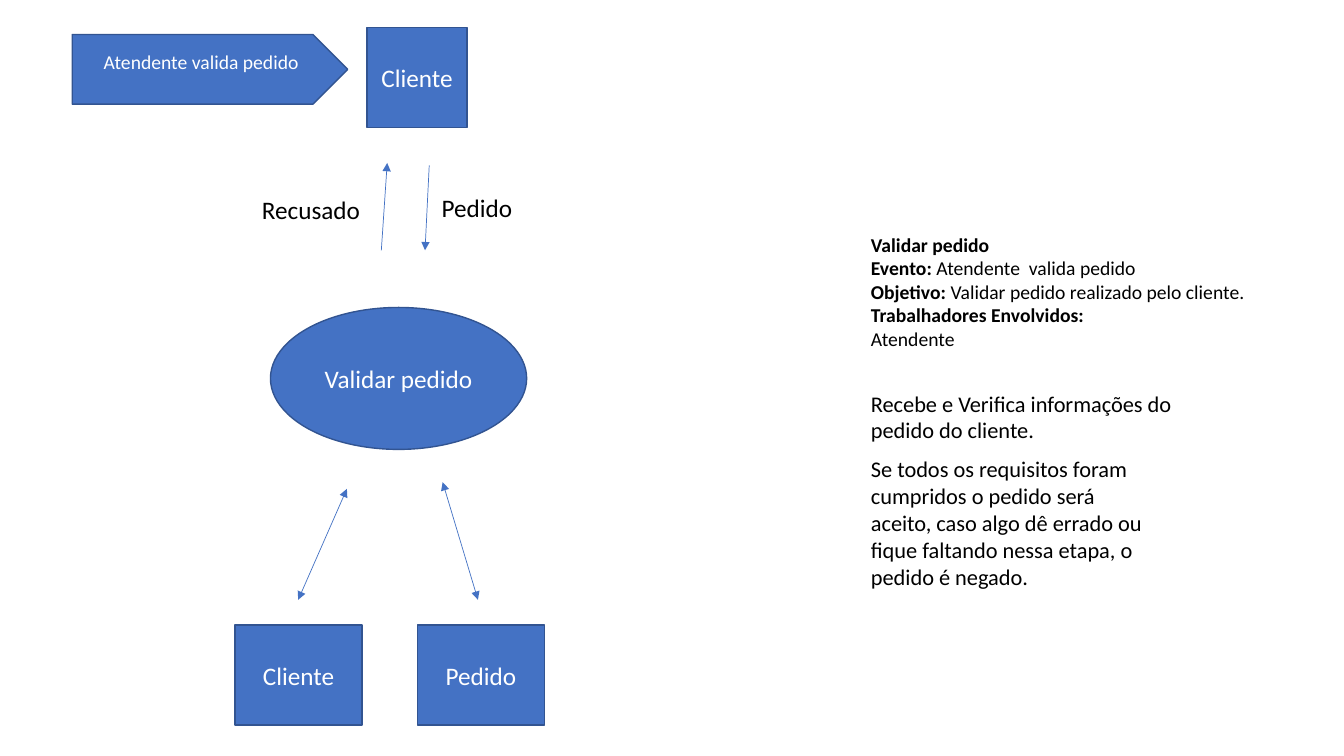
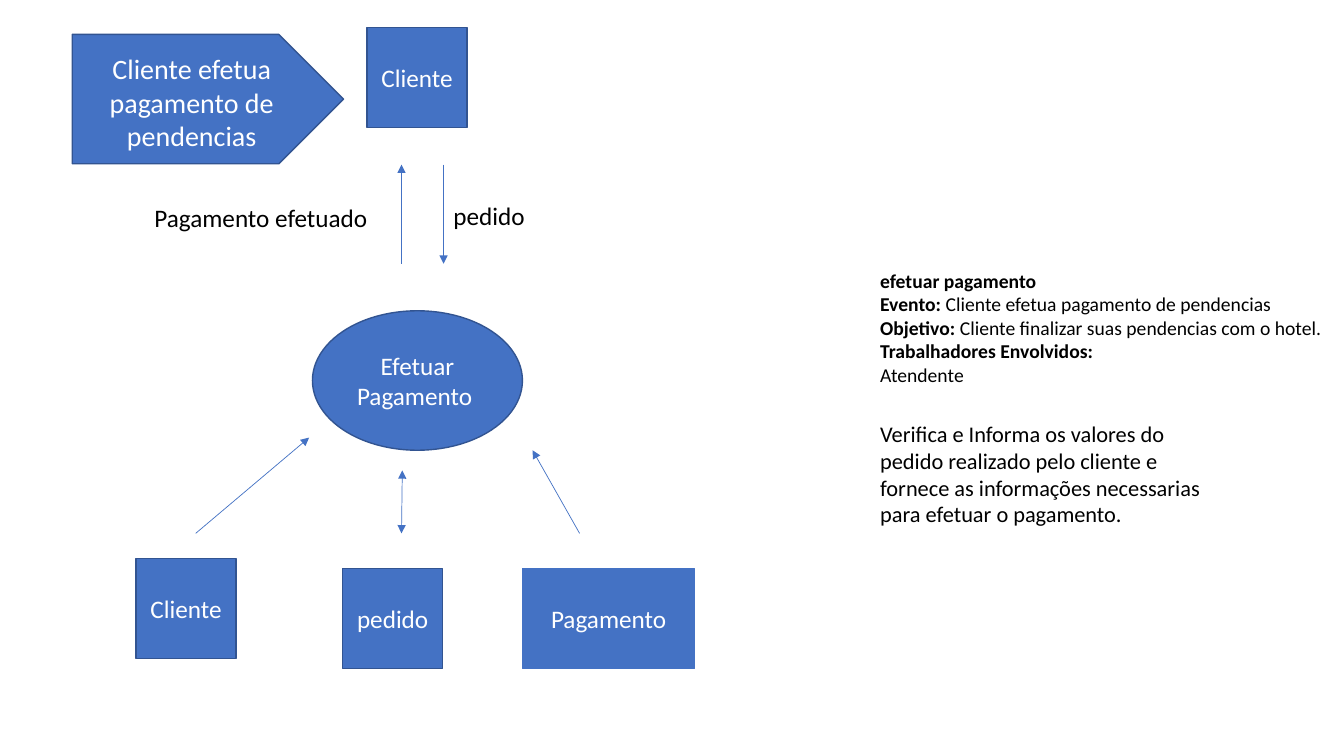
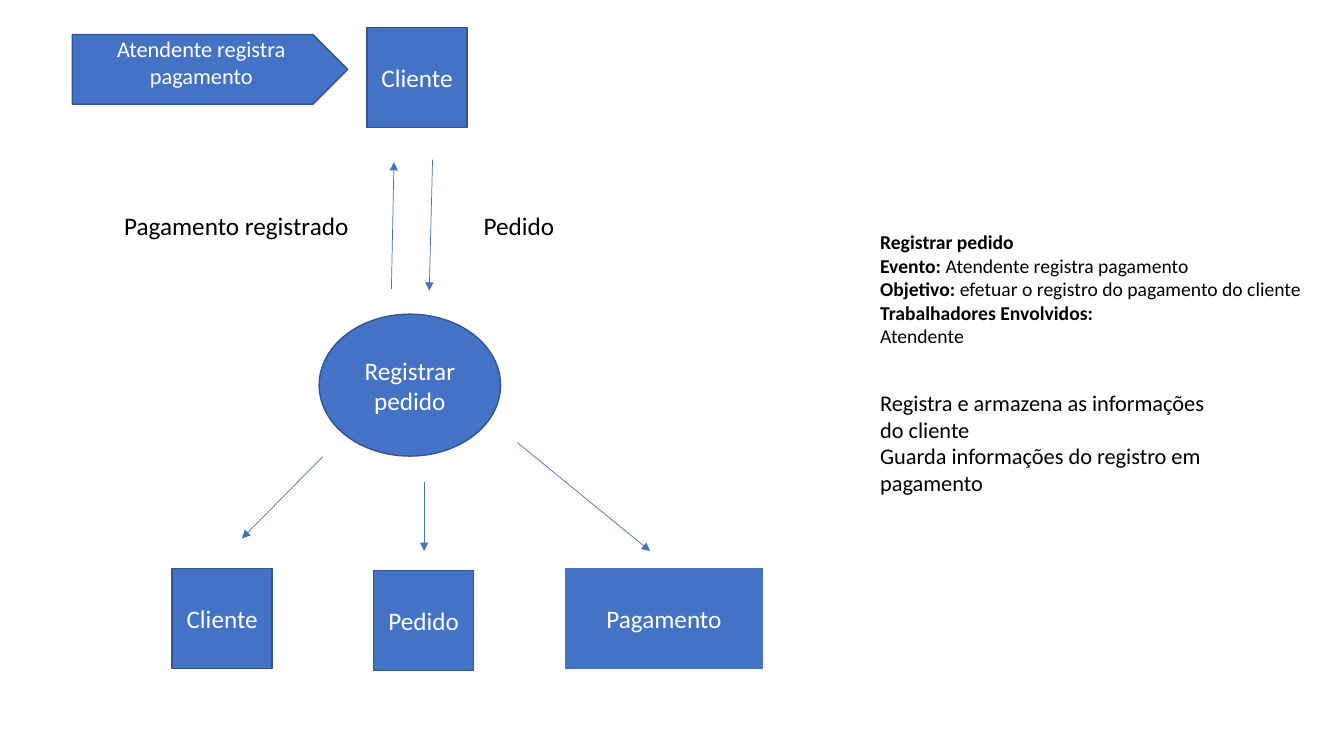
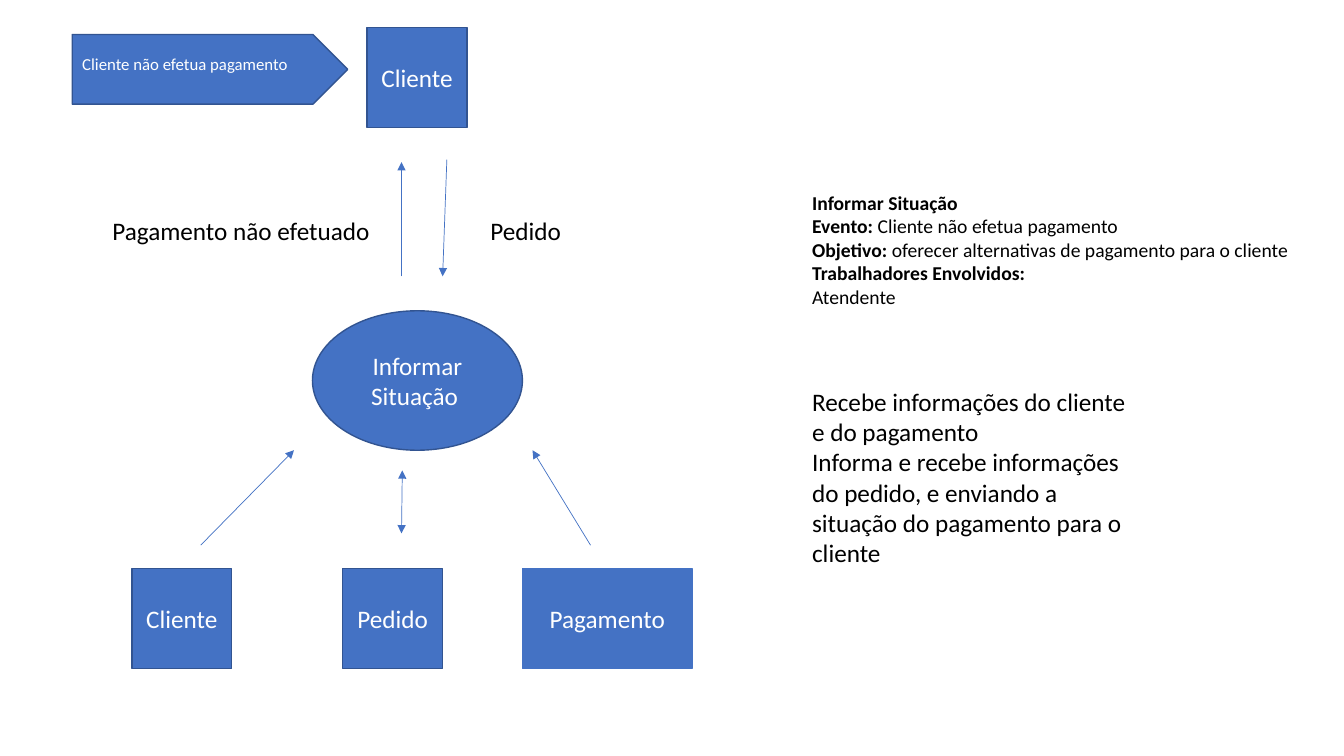
from dataclasses import dataclass

from lxml.etree import SubElement
from pptx import Presentation
from pptx.dml.color import RGBColor
from pptx.enum.shapes import MSO_CONNECTOR as Connector, MSO_SHAPE as Preset
from pptx.enum.text import MSO_ANCHOR as Anchor, PP_ALIGN as Align
from pptx.oxml.ns import qn
from pptx.util import Inches, Pt

# Shared look
BLUE = RGBColor(0x44, 0x72, 0xC4)
OUTLINE = RGBColor(0x32, 0x54, 0x91)
WHITE = RGBColor(0xFF, 0xFF, 0xFF)
BLACK = RGBColor(0x00, 0x00, 0x00)
FONT = "Calibri"

# Grid of square cells, twelve to the inch
COLUMNS, ROWS = 160, 90
CELL = Inches(1 / 12)
SIDE = 11.9          # side of a square entity
LABEL_HEIGHT = 4.8
SUMMARY_HEIGHT = 15.4


@dataclass
class Box:
    left: float
    top: float
    width: float
    height: float

    def inner(self, left, top, width, height):
        return Box(self.left + left, self.top + top, width, height)

    def point(self, x, y):
        return cells(self.left + x), cells(self.top + y)

    def lengths(self):
        return [cells(n) for n in (self.left, self.top, self.width, self.height)]


DIAGRAM = Box(0, 0, 95, ROWS)


def cells(number):
    return round(number * CELL)


# Basic parts
def write(shape, paragraphs, size=18, color=BLACK, align=Align.LEFT,
          anchor=Anchor.TOP, lift=None):
    """Each paragraph is a string or a list of (text, bold) runs."""
    frame = shape.text_frame
    frame.word_wrap = True
    frame.vertical_anchor = anchor
    if lift is not None:
        frame.margin_top = Inches(max(0, -2 * lift))
        frame.margin_bottom = Inches(max(0, 2 * lift))
    for index, content in enumerate(paragraphs):
        paragraph = frame.paragraphs[0] if index == 0 else frame.add_paragraph()
        paragraph.alignment = align
        runs = [(content, False)] if isinstance(content, str) else content
        for text, bold in runs:
            run = paragraph.add_run()
            run.text = text
            run.font.name = FONT
            run.font.size = Pt(size)
            run.font.bold = bold
            run.font.color.rgb = color


def add_text(slide, box, paragraphs, **text_format):
    write(slide.shapes.add_textbox(*box.lengths()), paragraphs, **text_format)


def add_block(slide, preset, box, paragraphs, outline=OUTLINE, **text_format):
    shape = slide.shapes.add_shape(preset, *box.lengths())
    shape.shadow.inherit = False
    shape.fill.solid()
    shape.fill.fore_color.rgb = BLUE
    shape.line.color.rgb = outline
    shape.line.width = Pt(1)
    text_format = {"align": Align.CENTER, **text_format}
    write(shape, paragraphs, color=WHITE, anchor=Anchor.MIDDLE, **text_format)


def add_arrow(slide, box, start, end, both=False):
    connector = slide.shapes.add_connector(
        Connector.STRAIGHT, *box.point(*start), *box.point(*end))
    connector.line.color.rgb = BLUE
    connector.line.width = Pt(0.5)
    line = connector.line._get_or_add_ln()
    for tag in ("a:headEnd", "a:tailEnd") if both else ("a:tailEnd",):
        SubElement(line, qn(tag), type="triangle")
    SubElement(connector._element.spPr, qn("a:effectLst"))


# Regions of a slide
def draw_diagram(slide, box, event, process, labels, entities, arrows):
    # Triggering event and the client
    event = {"width": 32.8, "height": 8.3, **event}
    pentagon = box.inner(8.6, 4.1, event.pop("width"), event.pop("height"))
    add_block(slide, Preset.PENTAGON, pentagon, [event.pop("text")], **event)
    add_block(slide, Preset.RECTANGLE, box.inner(43.7, 3.3, SIDE, SIDE), ["Cliente"])

    # Process
    area, lines = process
    add_block(slide, Preset.OVAL, box.inner(*area), lines)

    # Messages exchanged with the client
    for text, left, top, width in labels:
        add_text(slide, box.inner(left, top, width, LABEL_HEIGHT), [text])

    # Entities the process works with
    for text, left, top, width in entities:
        add_block(slide, Preset.RECTANGLE, box.inner(left, top, width, SIDE), [text],
                  outline=BLUE if text == "Pagamento" else OUTLINE)

    for arrow in arrows:
        add_arrow(slide, box, *arrow)


def draw_notes(slide, box, title, event, goal, details, size=16):
    summary = [
        [(title, True)],
        [("Evento: ", True), (event, False)],
        [("Objetivo: ", True), (goal, False)],
        [("Trabalhadores Envolvidos:", True)],
        "Atendente",
    ]
    add_text(slide, box.inner(0, 0, box.width, SUMMARY_HEIGHT), summary,
             size=14, align=Align.JUSTIFY)
    for drop, width, height, paragraphs in details:
        add_text(slide, box.inner(0, drop, width, height), paragraphs, size=size)


def notes_box(left, top):
    return Box(left, top, COLUMNS - left, ROWS - top)


# Content: one diagram and one set of notes per slide
BOTH = True
PROCESSES = [
    (
        dict(
            event=dict(text="Atendente valida pedido", size=14, lift=0.08),
            process=((32.2, 36.6, 30.5, 16.9), ["Validar\u00a0pedido"]),
            labels=[("Recusado", 30, 22.6, 20.3), ("Pedido", 51.4, 22.3, 23.4)],
            entities=[("Cliente", 28, 74.4, 15.1), ("Pedido", 49.7, 74.4, 15.1)],
            arrows=[
                ((45.4, 29.8), (46.1, 19.4)),
                ((51.1, 19.7), (50.6, 29.8)),
                ((41.3, 58.2), (35.5, 71.4), BOTH),
                ((52.7, 57.4), (56.9, 71.4), BOTH),
            ],
        ),
        notes_box(102.5, 27.1),
        dict(
            title="Validar pedido",
            event="Atendente \u00a0valida pedido",
            goal="Validar pedido realizado pelo cliente.",
            details=[
                (18.7, 40.7, 7.7,
                 ["Recebe e Verifica informações do pedido do cliente."]),
                (26.5, 36, 17.4,
                 ["Se todos os requisitos foram cumpridos o pedido será aceito, "
                  "caso algo dê errado ou fique faltando nessa etapa, "
                  "o pedido é negado."]),
            ],
        ),
    ),
    (
        dict(
            event=dict(text="Cliente efetua pagamento de pendencias", size=20,
                       lift=-0.03, width=32.3, height=15.4),
            process=((37.2, 37, 25, 16.6), ["Efetuar Pagamento\u00a0"]),
            labels=[("Pagamento efetuado", 17.2, 23.5, 36),
                    ("pedido", 52.8, 23.2, 23.4)],
            entities=[("Cliente", 16.2, 66.5, SIDE), ("pedido", 40.8, 67.7, SIDE),
                      ("Pagamento", 62.2, 67.7, 20.5)],
            arrows=[
                ((47.8, 31.4), (47.8, 19.6)),
                ((52.8, 19.6), (52.8, 31.4)),
                ((23.3, 63.5), (36.8, 52.1)),
                ((47.8, 63.5), (47.9, 56), BOTH),
                ((69, 63.5), (63.4, 53.6)),
            ],
        ),
        notes_box(103.6, 31.4),
        dict(
            title="efetuar pagamento",
            event="Cliente efetua pagamento de pendencias",
            goal="Cliente finalizar suas pendencias com o hotel.",
            details=[
                (18, 40.7, 14.1,
                 ["Verifica e Informa os valores do pedido realizado pelo cliente "
                  "e fornece as informações necessarias para efetuar o pagamento."]),
            ],
        ),
    ),
    (
        dict(
            event=dict(text="Atendente registra pagamento", size=16, lift=0.07),
            process=((38, 37.4, 21.6, 16.9), ["Registrar", "pedido"]),
            labels=[("Pagamento registrado", 13.6, 24.4, 30.5),
                    ("Pedido", 56.4, 24.5, 12.4)],
            entities=[("Cliente", 20.5, 67.7, SIDE), ("Pedido", 44.5, 67.9, SIDE),
                      ("Pagamento", 67.3, 67.7, 23.5)],
            arrows=[
                ((46.6, 34.4), (46.9, 19.3)),
                ((51.5, 19), (51.1, 34.6)),
                ((38.4, 54.4), (28.8, 64.1)),
                ((50.5, 57.4), (50.5, 65.6)),
                ((61.6, 52.7), (77.4, 65.6)),
            ],
        ),
        notes_box(103.6, 26.8),
        dict(
            title="Registrar pedido",
            event="Atendente registra pagamento",
            goal="efetuar o registro do pagamento do cliente",
            details=[
                (18.9, 44.9, 14.2,
                 ["Registra e armazena as informações\u00a0 do cliente",
                  "Guarda informações do registro em pagamento"]),
            ],
        ),
    ),
    (
        dict(
            event=dict(text="Cliente não efetua pagamento", size=12, lift=0.05,
                       align=Align.JUSTIFY),
            process=((37.2, 37, 25, 16.6), ["Informar Situação\u00a0"]),
            labels=[("Pagamento não efetuado", 12.2, 25, 36),
                    ("Pedido", 57.2, 25, 23.4)],
            entities=[("Cliente", 15.7, 67.7, SIDE), ("Pedido", 40.8, 67.7, SIDE),
                      ("Pagamento", 62.2, 67.7, 20.2)],
            arrows=[
                ((47.8, 32.9), (47.8, 19.3)),
                ((53.2, 19), (52.7, 32.9)),
                ((23.9, 64.9), (35, 53.6)),
                ((47.8, 63.5), (47.9, 56), BOTH),
                ((70.3, 64.9), (63.4, 53.6)),
            ],
        ),
        notes_box(95.5, 22.1),
        dict(
            title="Informar Situação",
            event="Cliente não efetua pagamento",
            goal="oferecer alternativas de pagamento para o cliente",
            size=18,
            details=[
                (23.3, 40.7, 23,
                 ["Recebe informações do cliente e do pagamento",
                  "Informa e recebe informações do pedido, e enviando a situação "
                  "do pagamento para o cliente"]),
            ],
        ),
    ),
]

presentation = Presentation()
presentation.slide_width = cells(COLUMNS)
presentation.slide_height = cells(ROWS)
blank_layout = presentation.slide_layouts[6]

for diagram, area, notes in PROCESSES:
    slide = presentation.slides.add_slide(blank_layout)
    draw_diagram(slide, DIAGRAM, **diagram)
    draw_notes(slide, area, **notes)

presentation.save("out.pptx")
